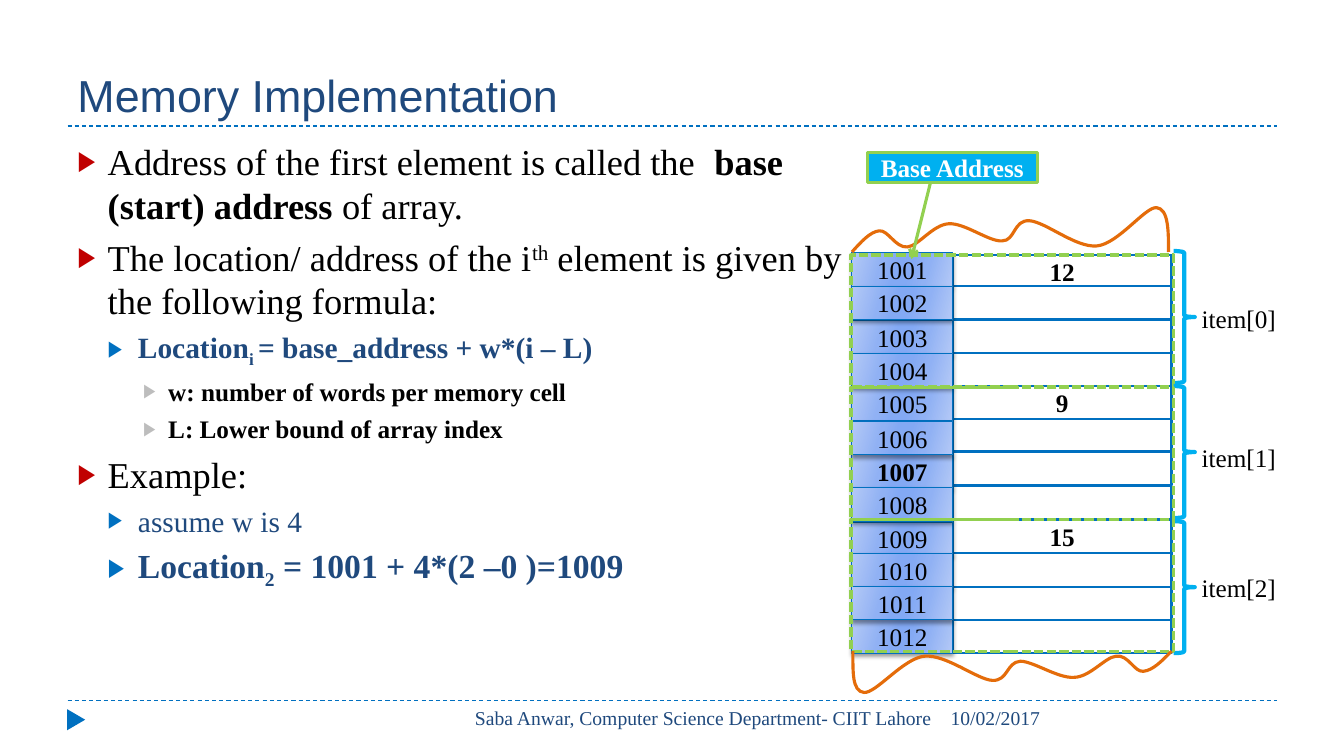
from lxml.etree import SubElement
from pptx import Presentation
from pptx.dml.color import RGBColor
from pptx.enum.dml import MSO_LINE
from pptx.enum.shapes import MSO_CONNECTOR, MSO_SHAPE
from pptx.enum.text import MSO_ANCHOR, PP_ALIGN
from pptx.oxml.ns import qn
from pptx.util import Inches, Pt

SERIF = "Times New Roman"
NAVY, BLUE, SKY, GREEN, ORANGE = "1F497D", "0070C0", "00B0F0", "92D050", "E46C0A"
BLACK, WHITE = "000000", "FFFFFF"
ADDRESS_STOPS = [(0, "B4C9F6"), (30, "90B1F4"), (45, "83A9F4"),
                 (55, "83A9F4"), (73, "90B1F4"), (100, "B4C9F6")]
# level: left margin, hanging indent, space before, bullet colour
LEVELS = [(0.3, 0.3, 6, "C00000"), (0.6, 0.3, 5, BLUE), (0.9, 0.25, 5, "BDBDBD")]
# level, size, colour, spans of (text, bold, baseline percent)
BULLETS = [
    (0, 26, BLACK, [("Address of the first element is called the  ", False, 0),
                    ("base (start) address ", True, 0), ("of array.", False, 0)]),
    (0, 26, BLACK, [("The location/ address of the i", False, 0), ("th", False, 30),
                    (" element is given by the following formula:", False, 0)]),
    (1, 21, NAVY, [("Location", True, 0), ("i ", True, -25),
                   ("= base_address + w*(i – L)", True, 0)]),
    (2, 18, BLACK, [("w: number of words per memory cell", True, 0)]),
    (2, 18, BLACK, [("L: Lower bound of array index", True, 0)]),
    (0, 26, BLACK, [("Example:", False, 0)]),
    (1, 21, NAVY, [("assume w is 4", False, 0)]),
    (1, 24, NAVY, [("Location", True, 0), ("2", True, -25),
                   (" = 1001 + 4*(2 –0 )=1009", True, 0)]),
]
CELL_HEIGHT = 0.33
VALUE_TOPS = [2.53, 2.84, 3.17, 3.5, 3.83, 4.16, 4.48, 4.82, 5.16, 5.49, 5.82, 6.15]
VALUES = {0: "12", 4: "9", 8: "15"}
# address: top, in stacking order, so that shadows fall on the right neighbours
ADDRESS_TOPS = {1001: 2.51, 1012: 6.15, 1003: 3.18, 1002: 2.84, 1005: 3.84, 1004: 3.51,
                1007: 4.51, 1006: 4.18, 1009: 5.18, 1008: 4.84, 1010: 5.49, 1011: 5.82}
ITEM_LABEL_TOPS = [2.96, 4.34, 5.63]
UPPER_TEAR = [
    (8.45, 2.5), (8.54, 2.4), (8.63, 2.3), (8.72, 2.29), (8.81, 2.28), (8.88, 2.46),
    (9, 2.45), (9.11, 2.44), (9.25, 2.23), (9.41, 2.22), (9.57, 2.21), (9.81, 2.4),
    (9.94, 2.39), (10.07, 2.39), (10.05, 2.18), (10.21, 2.19), (10.37, 2.2), (10.67, 2.46),
    (10.88, 2.44), (11.09, 2.42), (11.36, 2.05), (11.47, 2.06), (11.59, 2.07), (11.59, 2.29),
    (11.59, 2.5)]
LOWER_TEAR = [
    (11.62, 6.46), (11.53, 6.55), (11.44, 6.65), (11.34, 6.66), (11.25, 6.67), (11.19, 6.49),
    (11.07, 6.51), (10.96, 6.52), (10.81, 6.72), (10.65, 6.72), (10.49, 6.73), (10.25, 6.56),
    (10.12, 6.56), (9.98, 6.57), (10, 6.76), (9.84, 6.75), (9.69, 6.74), (9.38, 6.49),
    (9.17, 6.51), (8.96, 6.53), (8.69, 6.88), (8.57, 6.87), (8.45, 6.86), (8.46, 6.66),
    (8.46, 6.46)]


def rgb(color):
    return RGBColor.from_string(color)


def add_span(para, text, size, color, bold=False, font=SERIF):
    span = para.add_run()
    span.text = text
    span.font.size = Pt(size)
    span.font.name = font
    span.font.bold = bold
    span.font.color.rgb = rgb(color)
    return span


def add_text(page, text, left, top, width, height, size, color, font=SERIF,
             align=PP_ALIGN.LEFT, anchor=MSO_ANCHOR.TOP, wrap=True):
    box = page.shapes.add_textbox(Inches(left), Inches(top), Inches(width), Inches(height))
    box.text_frame.word_wrap = wrap
    box.text_frame.vertical_anchor = anchor
    para = box.text_frame.paragraphs[0]
    para.alignment = align
    add_span(para, text, size, color, font=font)


def add_shape(page, kind, left, top, width, height, fill=None, line=None, weight=1):
    shape = page.shapes.add_shape(kind, Inches(left), Inches(top), Inches(width), Inches(height))
    style_shape(shape, fill, line, weight)
    return shape


def style_shape(shape, fill, line, weight):
    shape.shadow.inherit = False
    if fill:
        shape.fill.solid()
        shape.fill.fore_color.rgb = rgb(fill)
    else:
        shape.fill.background()
    if line:
        shape.line.color.rgb = rgb(line)
        shape.line.width = Pt(weight)
    else:
        shape.line.fill.background()


def label_shape(shape, text, color=BLACK, bold=False):
    shape.text_frame.vertical_anchor = MSO_ANCHOR.MIDDLE
    para = shape.text_frame.paragraphs[0]
    para.alignment = PP_ALIGN.CENTER
    add_span(para, text, 18, color, bold)


def add_color(parent, color):
    return SubElement(parent, qn("a:srgbClr"), val=color)


def add_rule(page, top):
    rule = page.shapes.add_connector(MSO_CONNECTOR.STRAIGHT, Inches(0.67), Inches(top),
                                     Inches(12.67), Inches(top))
    rule.line.color.rgb = rgb(BLUE)
    rule.line.width = Pt(0.75)
    rule.line.dash_style = MSO_LINE.DASH
    SubElement(rule._element.spPr, qn("a:effectLst"))


def add_bullets(page):
    box = page.shapes.add_textbox(Inches(0.67), Inches(1.33), Inches(7.79), Inches(5.4))
    frame = box.text_frame
    frame.word_wrap = True
    for index, (level, size, color, spans) in enumerate(BULLETS):
        para = frame.add_paragraph() if index else frame.paragraphs[0]
        margin, hanging, space, bullet_color = LEVELS[level]
        para.level = level
        para.space_before = Pt(space if index else 0)
        properties = para._p.get_or_add_pPr()
        properties.set("marL", str(Inches(margin)))
        properties.set("indent", str(-Inches(hanging)))
        add_color(SubElement(properties, qn("a:buClr")), bullet_color)
        SubElement(properties, qn("a:buSzPct"), val="76000")
        SubElement(properties, qn("a:buFont"), typeface="Arial")
        SubElement(properties, qn("a:buChar"), char="▶")
        for text, bold, baseline in spans:
            span = add_span(para, text, size, color, bold)
            if baseline:
                span.font._element.set("baseline", str(baseline * 1000))


def shade_address(cell):
    """Give an address cell its six-stop gradient and soft shadow."""
    cell.fill.gradient()
    cell.fill.gradient_angle = 344
    stops = cell._element.spPr.find(".//" + qn("a:gsLst"))
    for stop in list(stops):
        stops.remove(stop)
    for position, color in ADDRESS_STOPS:
        add_color(SubElement(stops, qn("a:gs"), pos=str(position * 1000)), color)
    effects = cell._element.spPr.find(qn("a:effectLst"))
    shadow = SubElement(effects, qn("a:outerShdw"), blurRad=str(Pt(3)), dist=str(Pt(2)),
                        dir="5400000", rotWithShape="0")
    SubElement(add_color(shadow, BLACK), qn("a:alpha"), val="40000")


def add_memory_cells(page):
    for row, top in enumerate(VALUE_TOPS):
        cell = add_shape(page, MSO_SHAPE.RECTANGLE, 9.45, top, 2.17, CELL_HEIGHT,
                         WHITE, BLUE, 1.5)
        if row in VALUES:
            label_shape(cell, VALUES[row], bold=True)
    for address, top in ADDRESS_TOPS.items():
        cell = add_shape(page, MSO_SHAPE.RECTANGLE, 8.45, top, 1, CELL_HEIGHT,
                         line=BLUE, weight=0.75)
        shade_address(cell)
        label_shape(cell, str(address), bold=address == 1007)


def add_items(page):
    for index, label_top in enumerate(ITEM_LABEL_TOPS):
        add_shape(page, MSO_SHAPE.RIGHT_BRACE, 11.64, 2.49 + 1.34 * index, 0.21, 1.31,
                  line=SKY, weight=3)
        add_text(page, f"item[{index}]", 11.82, label_top, 0.95, 0.4, 18, BLACK, wrap=False)
        frame = add_shape(page, MSO_SHAPE.RECTANGLE, 8.44, 2.53 + 1.31 * index, 3.2, 1.31,
                          line=GREEN, weight=2.25)
        frame.line.dash_style = MSO_LINE.SQUARE_DOT


def add_tear(page, controls):
    """Draw a chain of cubic curves, each sharing its end with the next one's start."""
    start, *rest = [(Inches(x), Inches(y)) for x, y in controls]
    builder = page.shapes.build_freeform(*start)
    builder.add_line_segments(rest, close=False)
    tear = builder.convert_to_shape()
    style_shape(tear, None, ORANGE, 2.25)
    outline = tear._element.spPr.find(".//" + qn("a:pathLst"))[0]
    segments = outline.findall(qn("a:lnTo"))
    for first in range(0, len(segments), 3):
        curve = SubElement(outline, qn("a:cubicBezTo"))
        for segment in segments[first:first + 3]:
            curve.append(segment[0])
            outline.remove(segment)


def add_base_callout(page):
    callout = add_shape(page, MSO_SHAPE.LINE_CALLOUT_1, 8.6, 1.51, 1.69, 0.3, SKY, GREEN, 2.25)
    for index, value in enumerate((1.05, 0.37, 3.54, 0.26)):
        callout.adjustments[index] = value
    SubElement(callout.line._get_or_add_ln(), qn("a:tailEnd"), type="arrow")
    label_shape(callout, "Base Address", WHITE, True)


def main():
    deck = Presentation()
    deck.slide_width, deck.slide_height = Inches(13.33), Inches(7.5)
    page = deck.slides.add_slide(deck.slide_layouts[6])
    for top in (6.95, 1.25):
        add_rule(page, top)
    marker = add_shape(page, MSO_SHAPE.ISOSCELES_TRIANGLE, 0.65, 7.05, 0.21, 0.18, BLUE)
    marker.rotation = 90
    add_text(page, "Memory Implementation", 0.67, 0.17, 12, 1.08, 32, NAVY, "Arial",
             anchor=MSO_ANCHOR.BOTTOM)
    add_text(page, "10/02/2017", 9.33, 6.95, 3.34, 0.4, 14, NAVY)
    add_text(page, "Saba Anwar, Computer Science Department- CIIT Lahore",
             4.23, 6.95, 5.11, 0.4, 14, NAVY, align=PP_ALIGN.RIGHT)
    add_bullets(page)
    add_memory_cells(page)
    add_items(page)
    for controls in (UPPER_TEAR, LOWER_TEAR):
        add_tear(page, controls)
    add_base_callout(page)
    deck.save("out.pptx")


if __name__ == "__main__":
    main()
